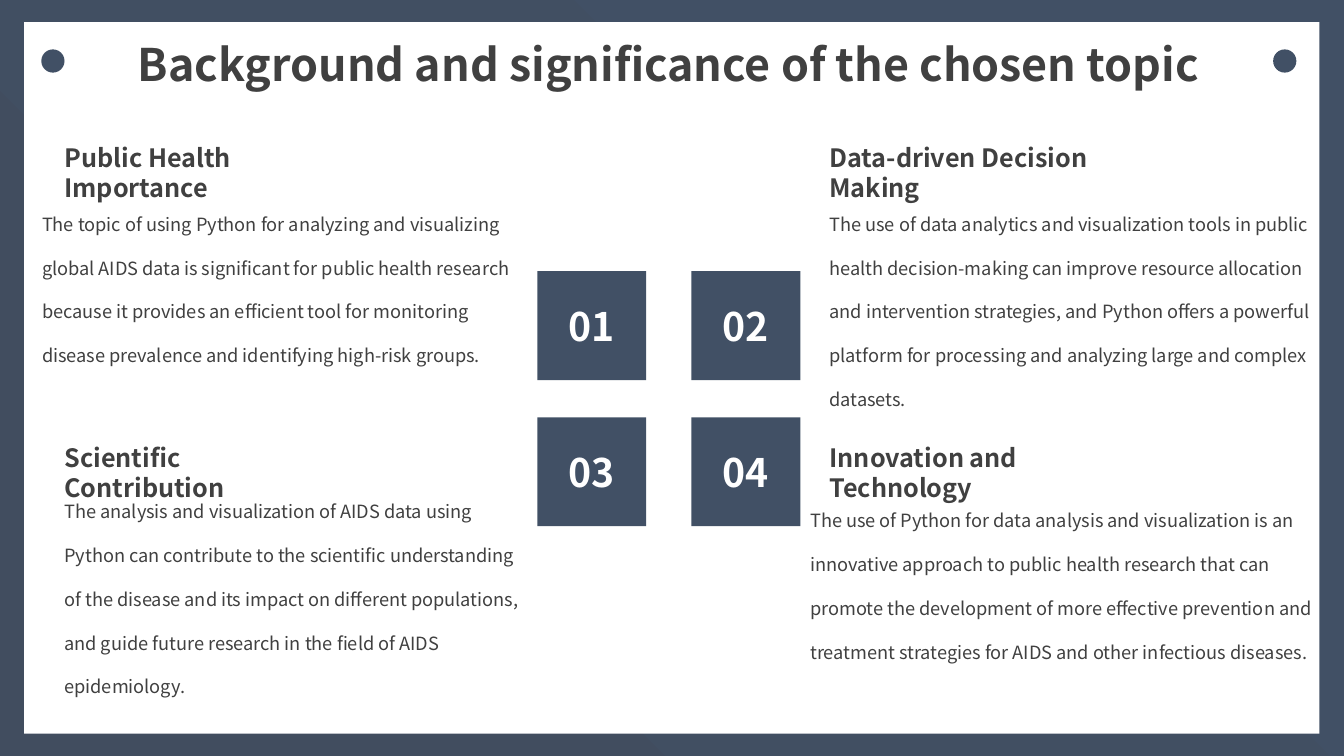
from pptx import Presentation
from pptx.dml.color import RGBColor
from pptx.enum.shapes import MSO_SHAPE
from pptx.enum.text import MSO_ANCHOR, PP_ALIGN
from pptx.util import Pt

FONT = "Noto Sans CJK SC"
NAVY = RGBColor(0x41, 0x50, 0x65)
SLATE = RGBColor(0x41, 0x4D, 0x5F)
CHARCOAL = RGBColor(0x40, 0x40, 0x40)
WHITE = RGBColor(0xFF, 0xFF, 0xFF)

TITLE = "Background and significance of the chosen topic"
TOPICS = [
    {
        "heading": "Public Health Importance",
        "heading_width": 226,
        "body": "The topic of using Python for analyzing and visualizing global AIDS data "
                "is significant for public health research because it provides an efficient "
                "tool for monitoring disease prevalence and identifying high-risk groups.",
        "body_area": (23, 133.2, 360.7, 133.2),
    },
    {
        "heading": "Data-driven Decision Making",
        "heading_width": 260.6,
        "body": "The use of data analytics and visualization tools in public health "
                "decision-making can improve resource allocation and intervention strategies, "
                "and Python offers a powerful platform for processing and analyzing large "
                "and complex datasets.",
        "body_area": (585.4, 133.2, 374.4, 164.9),
    },
    {
        "heading": "Scientific Contribution",
        "heading_width": 203,
        "body": "The analysis and visualization of AIDS data using Python can contribute to "
                "the scientific understanding of the disease and its impact on different "
                "populations, and guide future research in the field of AIDS epidemiology.",
        "body_area": (38.9, 338.4, 344.9, 164.9),
    },
    {
        "heading": "Innovation and Technology",
        "heading_width": 239.8,
        "body": "The use of Python for data analysis and visualization is an innovative "
                "approach to public health research that can promote the development of more "
                "effective prevention and treatment strategies for AIDS and other infectious "
                "diseases.",
        "body_area": (571.7, 344.9, 374.4, 133.2),
    },
]

SQUARE_LEFTS, SQUARE_TOPS, SQUARE_SIZE = (383.8, 493.9), (193.7, 298.1), 77.8
HEADING_LEFTS, HEADING_TOPS, HEADING_HEIGHT = (38.9, 585.4), (97.9, 312.5), 28.8
DOT_LEFTS, DOT_TOP, DOT_SIZE = (29.5, 909.4), 35.3, 16.6

deck = Presentation()
deck.slide_width, deck.slide_height = Pt(960), Pt(540)
page = deck.slides.add_slide(deck.slide_layouts[6])


def add_block(kind, area, color):
    block = page.shapes.add_shape(kind, *map(Pt, area))
    block.shadow.inherit = False
    block.fill.solid()
    block.fill.fore_color.rgb = color
    block.line.fill.background()
    return block


def write(box, text, size, color=CHARCOAL, bold=False, align=PP_ALIGN.LEFT,
          anchor=MSO_ANCHOR.TOP, spacing=None):
    frame = box.text_frame
    frame.word_wrap = True
    frame.vertical_anchor = anchor
    para = frame.paragraphs[0]
    para.alignment = align
    para.line_spacing = spacing
    span = para.add_run()
    span.text = text
    span.font.name = FONT
    span.font.size = Pt(size)
    span.font.bold = bold
    span.font.color.rgb = color


def add_text(area, text, size, **style):
    write(page.shapes.add_textbox(*map(Pt, area)), text, size, **style)


backdrop = page.background.fill
backdrop.gradient()
backdrop.gradient_angle = 45
for stop, color, position in zip(backdrop.gradient_stops, (SLATE, NAVY), (0, 0.95)):
    stop.color.rgb = color
    stop.position = position

panel = add_block(MSO_SHAPE.ROUNDED_RECTANGLE, (17.3, 15.8, 925.2, 508.3), WHITE)
panel.adjustments[0] = 0
for left in DOT_LEFTS:
    add_block(MSO_SHAPE.OVAL, (left, DOT_TOP, DOT_SIZE, DOT_SIZE), NAVY)

for index, topic in enumerate(TOPICS):
    row, column = divmod(index, 2)
    square = add_block(
        MSO_SHAPE.RECTANGLE,
        (SQUARE_LEFTS[column], SQUARE_TOPS[row], SQUARE_SIZE, SQUARE_SIZE), NAVY)
    write(square, f"{index + 1:02}", 28, color=WHITE, bold=True,
          align=PP_ALIGN.CENTER, anchor=MSO_ANCHOR.MIDDLE)
    add_text((HEADING_LEFTS[column], HEADING_TOPS[row], topic["heading_width"], HEADING_HEIGHT),
             topic["heading"], 18, bold=True)
    add_text(topic["body_area"], topic["body"], 13, spacing=2.0)

add_text((74.2, 23, 807.1, 46.1), TITLE, 32, bold=True, align=PP_ALIGN.CENTER)

deck.save("out.pptx")
